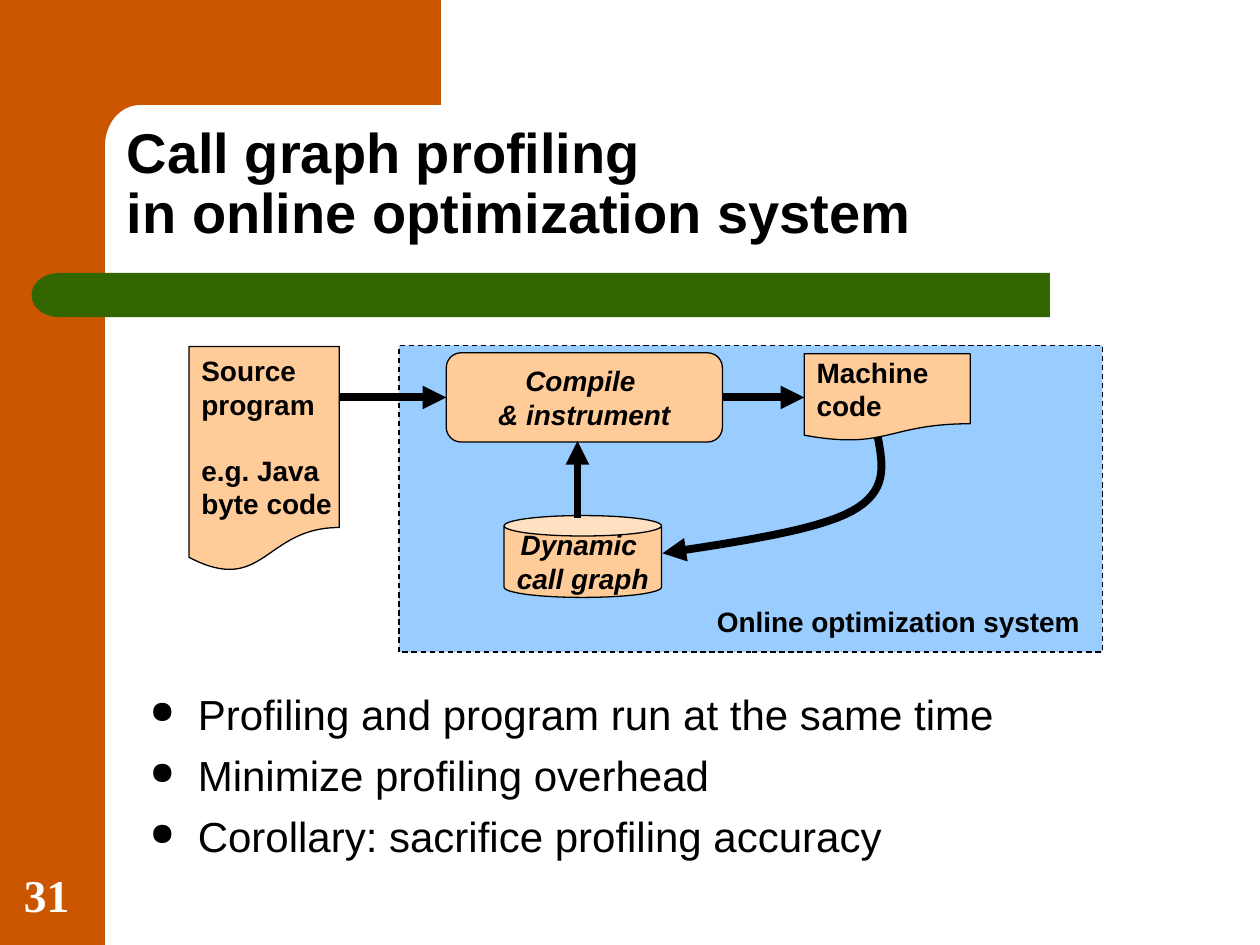
from dataclasses import dataclass

from lxml.etree import SubElement
from pptx import Presentation
from pptx.dml.color import RGBColor
from pptx.enum.dml import MSO_LINE
from pptx.enum.shapes import MSO_CONNECTOR, MSO_SHAPE as Preset
from pptx.enum.text import MSO_ANCHOR as Anchor, PP_ALIGN as Align
from pptx.oxml.ns import qn
from pptx.util import Inches, Pt

WIDTH, HEIGHT = Inches(10), Inches(7.5)
COLUMNS, ROWS = 120, 90
BLACK = RGBColor(0x00, 0x00, 0x00)
WHITE = RGBColor(0xFF, 0xFF, 0xFF)
RUST = RGBColor(0xCC, 0x55, 0x00)
GREEN = RGBColor(0x33, 0x66, 0x00)
SKY = RGBColor(0x99, 0xCC, 0xFF)
PEACH = RGBColor(0xFF, 0xCC, 0x99)
Point = tuple[float, float]


@dataclass(frozen=True)
class Area:
    """A block of grid cells."""
    col: float
    row: float
    cols: float
    rows: float

    def emu(self) -> tuple[int, int, int, int]:
        """Return left, top, width and height."""
        return *at(self.col, self.row), *at(self.cols, self.rows)


@dataclass(frozen=True)
class Words:
    """Paragraphs and the way they are set."""
    lines: tuple[str, ...]
    size: float = 16
    color: RGBColor = BLACK
    font: str = "Arial"
    bold: bool = True
    italic: bool = False
    align: Align = Align.LEFT
    anchor: Anchor = Anchor.MIDDLE
    wrap: bool = False
    gap: float = 0
    spacing: float = 1.0
    bulleted: bool = False


@dataclass(frozen=True)
class Block:
    """A filled preset shape with optional outline and words."""
    preset: Preset
    area: Area
    fill: RGBColor
    outlined: bool = True
    dashed: bool = False
    rotation: float = 0
    words: Words | None = None


def at(col: float, row: float) -> tuple[int, int]:
    """Turn grid columns and rows into EMU."""
    return round(col * WIDTH / COLUMNS), round(row * HEIGHT / ROWS)


def bezier(a: Point, b: Point, c: Point, d: Point, steps: int = 16) -> list[Point]:
    """Sample a cubic curve."""
    shares = [step / steps for step in range(steps + 1)]
    return [tuple((1 - t) ** 3 * p + 3 * (1 - t) ** 2 * t * q + 3 * (1 - t) * t * t * r + t ** 3 * s
                  for p, q, r, s in zip(a, b, c, d)) for t in shares]


def add_bullet(paragraph) -> None:
    """Give a paragraph a hanging round bullet."""
    props = paragraph._p.get_or_add_pPr()
    indent = Inches(0.38)
    props.set("marL", str(indent))
    props.set("indent", str(-indent))
    SubElement(props, qn("a:buSzPct"), val="75000")
    SubElement(props, qn("a:buChar"), char="●")


def write(shape, words: Words) -> None:
    """Set the words of a shape."""
    frame = shape.text_frame
    frame.text = "\n".join(words.lines)
    frame.word_wrap = words.wrap
    frame.vertical_anchor = words.anchor
    for paragraph in frame.paragraphs:
        paragraph.alignment = words.align
        paragraph.line_spacing = words.spacing
        if paragraph.text != words.lines[-1]:
            paragraph.space_after = Pt(words.gap)
        if words.bulleted:
            add_bullet(paragraph)
        for run in paragraph.runs:
            font = run.font
            font.name, font.size = words.font, Pt(words.size)
            font.bold, font.italic = words.bold, words.italic
            font.color.rgb = words.color


def draw_text(slide, area: Area, words: Words) -> None:
    """Add a text box."""
    write(slide.shapes.add_textbox(*area.emu()), words)


def draw_block(slide, block: Block):
    """Add a preset shape."""
    shape = slide.shapes.add_shape(block.preset, *block.area.emu())
    shape.shadow.inherit = False
    shape.rotation = block.rotation
    shape.fill.solid()
    shape.fill.fore_color.rgb = block.fill
    if block.outlined:
        shape.line.color.rgb = BLACK
        shape.line.width = Pt(0.75)
        if block.dashed:
            shape.line.dash_style = MSO_LINE.DASH
    else:
        shape.line.fill.background()
    if block.words:
        write(shape, block.words)
    return shape


def draw_outline(slide, points: list[Point], closed: bool):
    """Add a freeform through grid points."""
    start, *rest = [at(*point) for point in points]
    builder = slide.shapes.build_freeform(*start)
    builder.add_line_segments(rest, close=closed)
    shape = builder.convert_to_shape()
    shape.shadow.inherit = False
    return shape


def style_arrow(line_shape) -> None:
    """Make a line thick and black with a triangle at its end."""
    line_shape.line.color.rgb = BLACK
    line_shape.line.width = Pt(4.5)
    SubElement(line_shape.element.spPr.find(qn("a:ln")), qn("a:tailEnd"), type="triangle")


def draw_arrow(slide, start: Point, end: Point, source=None, target=None) -> None:
    """Add an arrow, joined to a source's right and a target's left side."""
    arrow = slide.shapes.add_connector(MSO_CONNECTOR.STRAIGHT, *at(*start), *at(*end))
    if source is not None:
        arrow.begin_connect(source, 3)
    if target is not None:
        arrow.end_connect(target, 1)
    style_arrow(arrow)
    SubElement(arrow.element.spPr, qn("a:effectLst"))


def draw_backdrop(slide) -> None:
    """Draw the coloured side, corner and bar."""
    draw_block(slide, Block(Preset.RECTANGLE, Area(0, 0, 10, ROWS), RUST, outlined=False))
    bend = bezier((13.4, 10), (11.4, 10), (10, 11.8), (10, 13.9))
    corner = draw_outline(slide, [(42, 0), (42, 10), *bend, (10, 15.4), (6, 15.4), (6, 0)], True)
    corner.fill.solid()
    corner.fill.fore_color.rgb = RUST
    corner.line.fill.background()
    draw_block(slide, Block(Preset.RECTANGLE, Area(8, 26, 92, 4.2), GREEN, outlined=False))
    draw_block(slide, Block(Preset.FLOWCHART_DELAY, Area(3, 26, 5.2, 4.2), GREEN,
                            outlined=False, rotation=180))


def draw_diagram(slide) -> None:
    """Draw the optimization loop."""
    draw_block(slide, Block(Preset.RECTANGLE, Area(38, 32.9, 67, 29.2), SKY, dashed=True))
    draw_block(slide, Block(Preset.FLOWCHART_DOCUMENT, Area(18, 33, 14.3, 21.5), PEACH,
                            words=Words(("Source\vprogram", "e.g. Java \vbyte code"), gap=18.4)))
    machine = draw_block(slide, Block(Preset.FLOWCHART_DOCUMENT, Area(76.6, 33.7, 15.8, 8.3), PEACH,
                                      words=Words(("Machine", "code"))))
    feedback = draw_outline(slide, bezier((83.6, 41.6), (84.1, 44.3), (84.6, 46.8), (81.1, 48.7))
                            + bezier((81.1, 48.7), (77.8, 50.5), (70.4, 51.6), (63.1, 52.7))[1:], False)
    feedback.fill.background()
    style_arrow(feedback)
    draw_block(slide, Block(Preset.CAN, Area(48, 49.1, 15, 7.8), PEACH, words=Words(
        ("Dynamic ", "call graph"), italic=True, align=Align.CENTER)))
    compiler = draw_block(slide, Block(Preset.ROUNDED_RECTANGLE, Area(42.5, 33.6, 26.3, 8.5), PEACH,
                                       words=Words(("Compile ", "& instrument"), italic=True,
                                                   align=Align.CENTER)))
    draw_arrow(slide, (32.3, 37.85), (42.5, 37.85), target=compiler)
    draw_arrow(slide, (68.8, 37.85), (76.6, 37.85), compiler, machine)
    draw_arrow(slide, (55, 49.3), (55, 42))
    draw_text(slide, Area(67.1, 57, 37, 4.4), Words(("Online optimization system",), anchor=Anchor.TOP))


def main() -> None:
    """Build and save the slide."""
    deck = Presentation()
    deck.slide_width, deck.slide_height = WIDTH, HEIGHT
    slide = deck.slides.add_slide(deck.slide_layouts[6])
    draw_backdrop(slide)
    draw_text(slide, Area(10.9, 10.9, 102.1, 13.1), Words(
        ("Call graph profiling \vin online optimization system",), size=32,
        anchor=Anchor.BOTTOM, wrap=True, spacing=0.9))
    draw_text(slide, Area(13.1, 65, 96, 18), Words(
        ("Profiling and program run at the same time", "Minimize profiling overhead",
         "Corollary: sacrifice profiling accuracy"),
        size=24, bold=False, anchor=Anchor.TOP, wrap=True, gap=6, bulleted=True))
    draw_diagram(slide)
    draw_text(slide, Area(1.1, 82, 7.7, 6.4), Words(
        ("31",), size=26, color=WHITE, font="Times New Roman", anchor=Anchor.BOTTOM, wrap=True))
    deck.save("out.pptx")


if __name__ == "__main__":
    main()
